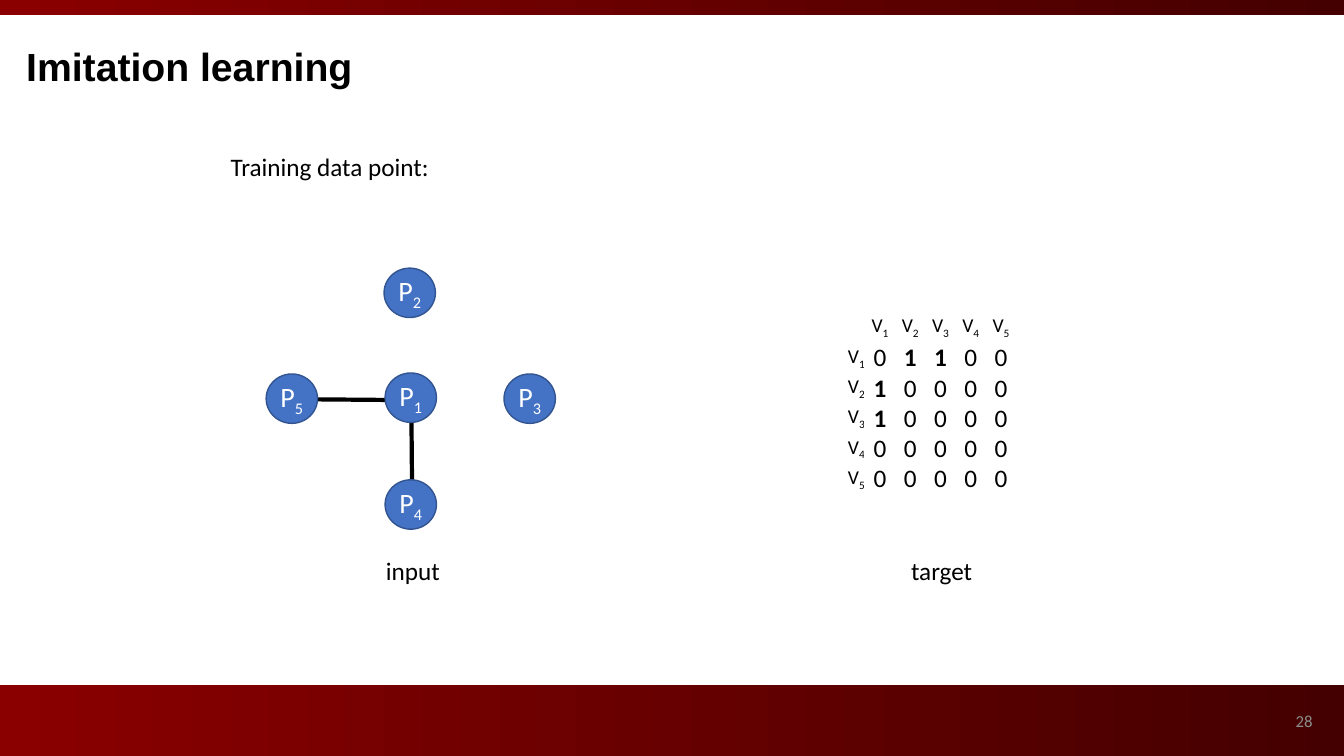
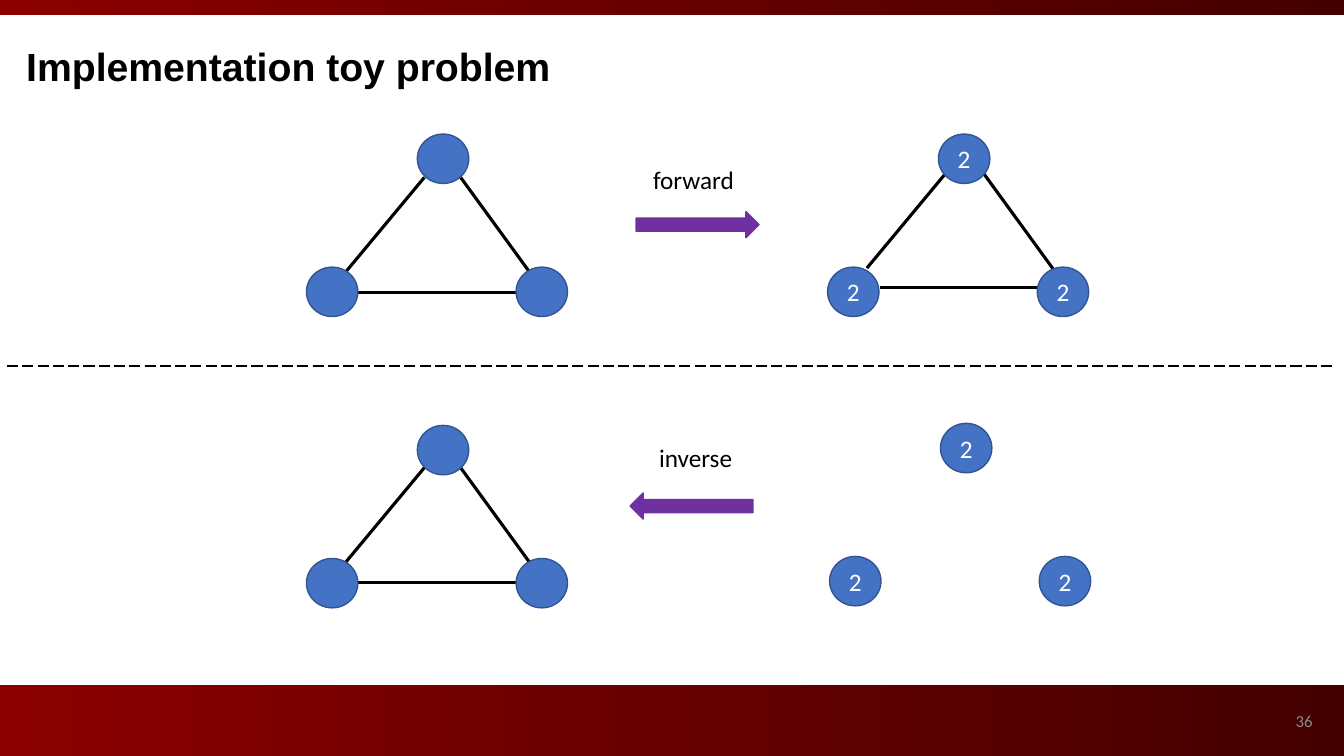
"""Build two slides on imitation learning and a toy graph problem."""
import pptx
import pptx.util
import pptx.dml.color
import pptx.enum.dml
import pptx.enum.shapes
import pptx.enum.text
import lxml.etree

RGB = pptx.dml.color.RGBColor
BLACK = RGB(0x00, 0x00, 0x00)
WHITE = RGB(0xFF, 0xFF, 0xFF)
GREY = RGB(0x8C, 0x8C, 0x8C)
RED = RGB(0x8A, 0x00, 0x00)
DARK = RGB(0x44, 0x00, 0x00)
BLUE = RGB(0x44, 0x72, 0xC4)
NAVY = RGB(0x32, 0x54, 0x91)
PURPLE = RGB(0x70, 0x30, 0xA0)

SHAPE = pptx.enum.shapes.MSO_SHAPE
ALIGN = pptx.enum.text.PP_ALIGN
ANCHOR = pptx.enum.text.MSO_ANCHOR
COLS, ROWS = 133.33, 75
BODY, HEAD = "Calibri", "Arial"
NODE = (5.1, 4.9)


def cell(*sizes):
    return [pptx.util.Inches(size / 10) for size in sizes]


class Deck:
    """Hold the style and the current slide, on a grid of 133.33 by 75 cells."""

    def __init__(self):
        self.prs = pptx.Presentation()
        self.prs.slide_width, self.prs.slide_height = cell(COLS, ROWS)

    def start(self, title, number):
        self.slide = self.prs.slides.add_slide(self.prs.slide_layouts[5])
        self.shapes = self.slide.shapes
        self.band(68, 7)
        self.band(0, 1.5)
        head = self.shapes.title
        head.left, head.top, head.width, head.height = cell(1.6, 3.7, 112, 5.7)
        frame = head.text_frame
        frame.auto_size = pptx.enum.text.MSO_AUTO_SIZE.NONE
        frame.vertical_anchor = ANCHOR.TOP
        frame.paragraphs[0].alignment = ALIGN.LEFT
        self.run(frame.paragraphs[0], title, 28, bold=True, face=HEAD)
        self.text(101.2, 69.5, 30, number, size=12, color=GREY,
                  align=ALIGN.RIGHT, anchor=ANCHOR.MIDDLE)

    def run(self, para, text, size, color=BLACK, bold=False, face=BODY, sub=False):
        run = para.add_run()
        run.text = text
        font = run.font
        font.name, font.size, font.bold = face, pptx.util.Pt(size), bold
        font.color.rgb = color
        if sub:
            run._r.get_or_add_rPr().set("baseline", "-25000")

    def label(self, para, name, size, color=BLACK):
        self.run(para, name[0], size, color)
        if name[1:]:
            self.run(para, name[1:], size, color, sub=True)

    def text(self, x, y, width, words, size=18, color=BLACK,
             align=ALIGN.LEFT, anchor=ANCHOR.TOP):
        frame = self.shapes.add_textbox(*cell(x, y, width, 4)).text_frame
        frame.word_wrap = True
        frame.vertical_anchor = anchor
        frame.paragraphs[0].alignment = align
        self.run(frame.paragraphs[0], words, size, color)

    def shape(self, kind, x, y, width, height, fill, edge):
        shape = self.shapes.add_shape(kind, *cell(x, y, width, height))
        shape.shadow.inherit = False
        shape.fill.solid()
        shape.fill.fore_color.rgb = fill
        shape.line.color.rgb = edge
        shape.line.width = pptx.util.Pt(1)
        return shape

    def band(self, y, height):
        band = self.shape(SHAPE.RECTANGLE, 0, y, COLS, height, RED, RED)
        band.line.fill.background()
        band.fill.gradient()
        band.fill.gradient_angle = 0
        for stop, color in zip(band.fill.gradient_stops, (RED, DARK)):
            stop.color.rgb = color

    def node(self, x, y, name="", size=18):
        frame = self.shape(SHAPE.OVAL, x, y, *NODE, BLUE, NAVY).text_frame
        frame.word_wrap = False
        frame.margin_left = frame.margin_right = 0
        frame.margin_top = frame.margin_bottom = 0
        frame.vertical_anchor = ANCHOR.MIDDLE
        if name:
            frame.paragraphs[0].alignment = ALIGN.CENTER
            self.label(frame.paragraphs[0], name, size, WHITE)

    def line(self, ends, width, dash=None):
        kind = pptx.enum.shapes.MSO_CONNECTOR.STRAIGHT
        line = self.shapes.add_connector(kind, *cell(*ends))
        line.line.color.rgb = BLACK
        line.line.width = pptx.util.Pt(width)
        if dash:
            line.line.dash_style = dash
        tag = pptx.oxml.ns.qn("a:effectLst")
        lxml.etree.SubElement(line._element.spPr, tag)

    def arrow(self, x, y, turn=0):
        arrow = self.shape(SHAPE.RIGHT_ARROW, x, y, 12.2, 2.6, PURPLE, PURPLE)
        arrow.rotation = turn

    def edges(self, x, y):
        for a, b, c, d in ((3.8, 13.8, 11.7, 4.3), (5.1, 15.7, 20.8, 15.7),
                           (23.6, 15.7, 15.3, 4.3)):
            self.line((x + a, y + b, x + c, y + d), 2.25)

    def nodes(self, x, y, name=""):
        for right, down in ((11, 0), (0, 13.2), (20.8, 13.2)):
            self.node(x + right, y + down, name)

    def matrix(self, x, y, step, rows):
        count = len(rows) + 1
        frame = self.shapes.add_table(
            count, count, *cell(x, y, step * count, step * count))
        table = frame.table
        table.first_row = table.horz_banding = False
        for side in (*table.columns, ):
            side.width = cell(step)[0]
        for row in range(count):
            table.rows[row].height = cell(step)[0]
            for col in range(count):
                box = table.cell(row, col)
                box.fill.background()
                box.margin_left = box.margin_right = 0
                box.margin_top = box.margin_bottom = 0
                box.vertical_anchor = ANCHOR.MIDDLE
                para = box.text_frame.paragraphs[0]
                para.alignment = ALIGN.CENTER if col else ALIGN.RIGHT
                if row and col:
                    digit = rows[row - 1][col - 1]
                    self.run(para, digit, 18, bold=digit == "1")
                elif row or col:
                    self.label(para, f"V{row or col}", 14)
                else:
                    para.font.size = pptx.util.Pt(14)


def learn(deck):
    deck.start("Imitation learning", "28")
    deck.text(21.9, 14.5, 22.4, "Training data point:")
    deck.line((40.7, 39.7, 29, 39.6), 3)
    deck.line((40.9, 50.5, 40.8, 39.5), 3)
    spots = ((38.2, 37), (38.1, 26.6), (50, 37.1), (38.2, 47.6), (26.4, 37.1))
    for index, (x, y) in enumerate(spots, 1):
        deck.node(x, y, f"P{index}", 20)
    deck.matrix(82.8, 31, 3, ("01100", "10000", "10000", "00000", "00000"))
    for x, words in ((37.3, "input"), (89.4, "target")):
        deck.text(x, 54.6, 8.9, words)


def toy(deck):
    deck.start("Implementation toy problem", "36")
    for x, y in ((30.4, 13.3), (82.2, 12.8), (30.4, 42.1)):
        deck.edges(x, y)
    for x, y, name in ((30.4, 13.3, ""), (82.1, 13.3, "2"),
                       (30.4, 42.2, ""), (82.3, 42, "2")):
        deck.nodes(x, y, name)
    deck.text(63.8, 15.8, 19.5, "forward")
    deck.arrow(63.1, 21)
    deck.text(64.4, 43.4, 19.5, "inverse")
    deck.arrow(62.5, 48.9, 180)
    deck.line((0.7, 36.3, 132.3, 36.3), 1, pptx.enum.dml.MSO_LINE.LONG_DASH)


def main():
    deck = Deck()
    learn(deck)
    toy(deck)
    deck.prs.save("out.pptx")


if __name__ == "__main__":
    main()
